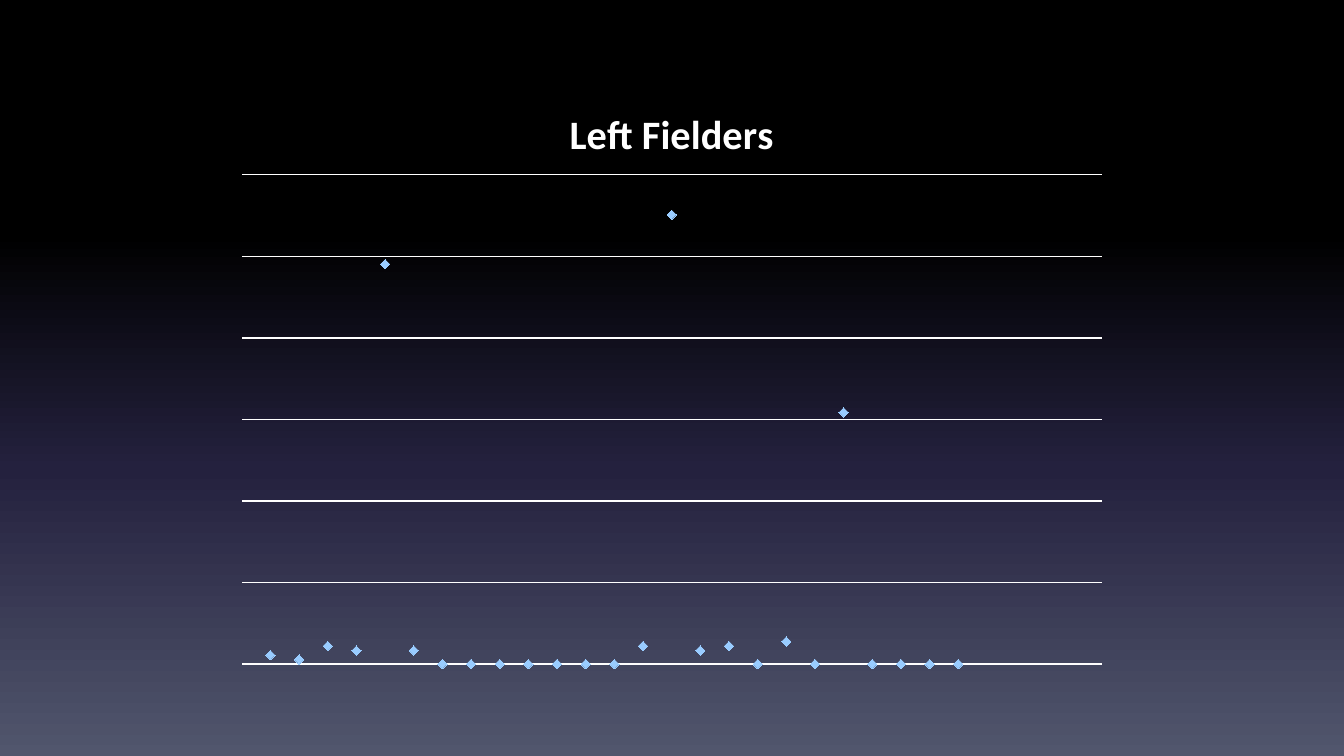
from lxml import etree
from pptx import Presentation
from pptx.chart.data import XyChartData
from pptx.dml.color import RGBColor
from pptx.enum.chart import XL_CHART_TYPE, XL_MARKER_STYLE
from pptx.oxml import parse_xml
from pptx.oxml.ns import nsdecls, qn
from pptx.util import Cm, Pt

SCATTER = XL_CHART_TYPE.XY_SCATTER
DIAMOND = XL_MARKER_STYLE.DIAMOND
BLANK_LAYOUT = 6

COLORS = {
    "text": "FFFFFF",
    "grid": "FFFFFF",
    "marker": "99CCFF",
    "black": "000000",
    "indigo": "24213E",
    "slate": "51566D",
}
BACKGROUND_STOPS = [(0, "black"), (31, "black"), (62, "indigo"), (100, "slate")]
VALUES = [2, 1, 4, 3, 89, 3, 0, 0, 0, 0, 0, 0, 0,
          4, 100, 3, 4, 0, 5, 0, 56, 0, 0, 0, 0]
GRID_STEP = 18.15
GRID_INTERVALS = 6


class SlideBuilder:
    font = "Calibri"
    font_size = Pt(18)
    title_size = Pt(21.6)

    def __init__(self, prs):
        self.s = prs.slides.add_slide(prs.slide_layouts[BLANK_LAYOUT])

    def color(self, name):
        return RGBColor.from_string(COLORS[name])

    def style_font(self, font, size, bold=False):
        font.name = self.font
        font.size = size
        font.bold = bold
        font.color.rgb = self.color("text")

    def background(self, stops):
        fill = self.s.background.fill
        fill.gradient()
        fill.gradient_angle = 270
        stop_list = next(self.s.element.iter(qn("a:gsLst")))
        for old_stop in list(stop_list):
            stop_list.remove(old_stop)
        for percent, name in stops:
            stop = etree.SubElement(stop_list, qn("a:gs"), pos=str(percent * 1000))
            etree.SubElement(stop, qn("a:srgbClr"), val=COLORS[name])

    def place_plot(self, chart, x, y, w, h):
        plot_area = next(chart._chartSpace.iter(qn("c:plotArea")))
        for old_layout in plot_area.findall(qn("c:layout")):
            plot_area.remove(old_layout)
        plot_area.insert(0, parse_xml(
            f'<c:layout {nsdecls("c")}><c:manualLayout>'
            f'<c:layoutTarget val="inner"/>'
            f'<c:xMode val="edge"/><c:yMode val="edge"/>'
            f'<c:x val="{x}"/><c:y val="{y}"/><c:w val="{w}"/><c:h val="{h}"/>'
            f'</c:manualLayout></c:layout>'))

    def scatter(self, title, values, left, top, width, height):
        data = XyChartData()
        points = data.add_series("Series 1")
        for x, y in enumerate(values, 1):
            points.add_data_point(x, y)
        chart = self.s.shapes.add_chart(
            SCATTER, left, top, width, height, data).chart
        self.style_font(chart.font, self.font_size)
        chart.has_legend = False
        chart.plots[0].vary_by_categories = False

        chart.has_title = True
        tf = chart.chart_title.text_frame
        tf.text = title
        self.style_font(tf.paragraphs[0].runs[0].font, self.title_size, True)
        chart.chart_title.include_in_layout = False

        series = chart.plots[0].series[0]
        series.smooth = False
        series.format.line.fill.background()
        marker = series.marker
        marker.style = DIAMOND
        marker.size = 5
        marker.format.fill.solid()
        marker.format.fill.fore_color.rgb = self.color("marker")
        marker.format.line.color.rgb = self.color("marker")

        x_axis, y_axis = chart.category_axis, chart.value_axis
        for axis, step, intervals in ((x_axis, 5, 6),
                                      (y_axis, GRID_STEP, GRID_INTERVALS)):
            axis.minimum_scale = 0
            axis.maximum_scale = round(step * intervals, 2)
            axis.major_unit = step
            axis.visible = False
        x_axis.has_major_gridlines = False
        y_axis.has_major_gridlines = True
        grid = y_axis.major_gridlines.format.line
        grid.color.rgb = self.color("grid")
        grid.width = Pt(0.75)

        self.place_plot(chart, 0.02, 0.16, 0.96, 0.82)


def main():
    prs = Presentation()
    prs.slide_width = Cm(25.4)
    prs.slide_height = Cm(14.29)
    slide = SlideBuilder(prs)
    slide.background(BACKGROUND_STOPS)
    slide.scatter("Left Fielders", VALUES, Cm(4.23), Cm(1.5), Cm(16.93), Cm(11.28))
    prs.save("out.pptx")


if __name__ == "__main__":
    main()
